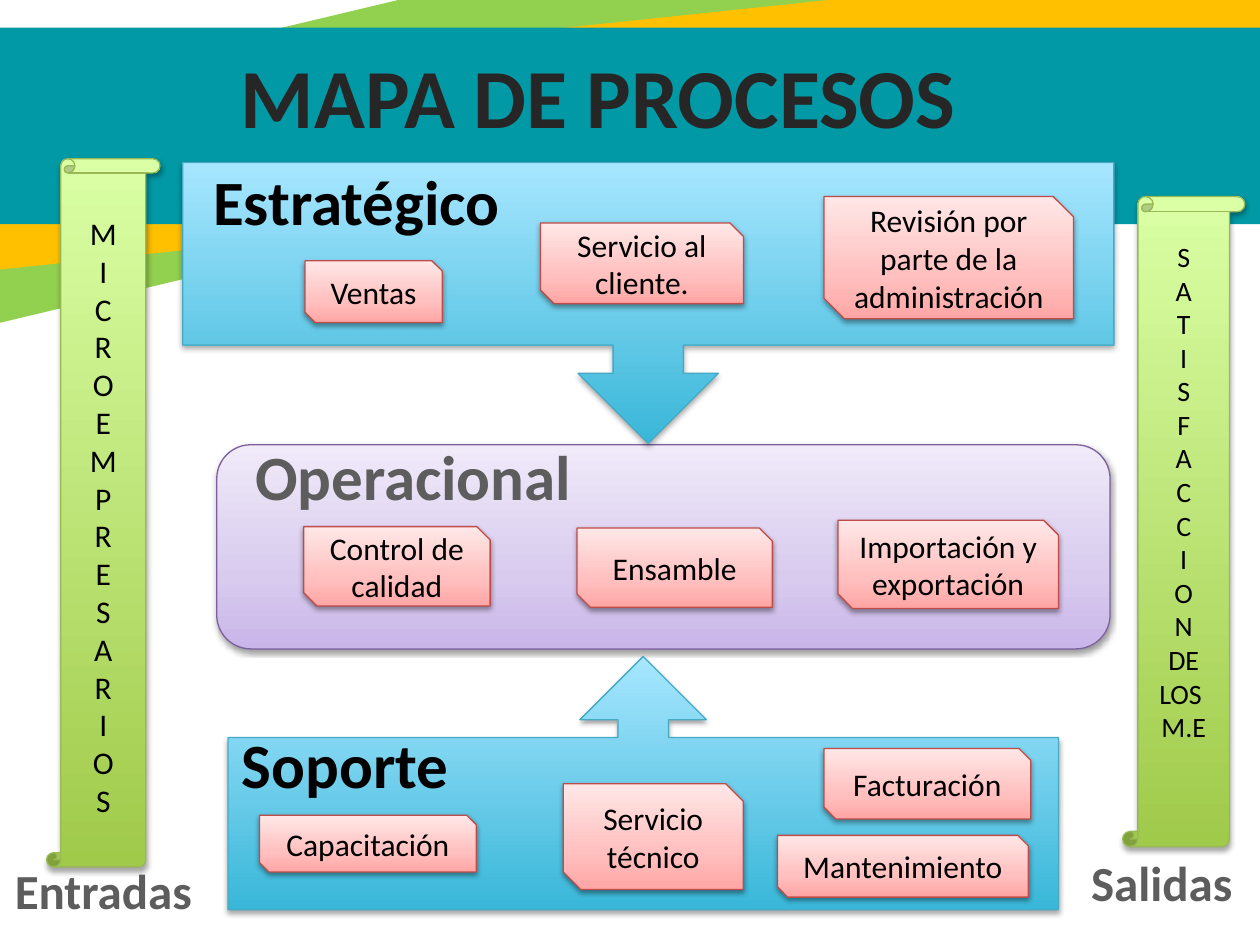
import pptx
import pptx.util
import pptx.dml.color
import pptx.enum.shapes
import pptx.enum.text
import pptx.oxml
import pptx.oxml.ns

Inches = pptx.util.Inches
Pt = pptx.util.Pt
KIND = pptx.enum.shapes.MSO_SHAPE
ALIGN = pptx.enum.text.PP_ALIGN
ANCHOR = pptx.enum.text.MSO_ANCHOR
QN = pptx.oxml.ns.qn
NS = pptx.oxml.ns.nsdecls("a")

BLUE = ([(0, "39B7D8"), (100, "A7E6FF")], "46AAC5", (35, 1.8))
GREEN = ([(0, "A0CA4A"), (100, "DAFFA5")], "98B955", (35, 1.8))
PINK = ([(0, "FFA6A5"), (35, "FFC0BF"), (100, "FFE7E7")], "BF4C48", (38, 1.6))
LILAC = ([(0, "C9B5E8"), (35, "D8CBEE"), (100, "F0EAF9")], "7D60A0", (38, 1.6))
BLACK = "000000"
GREY = "5D5D5D"


def color(code):
    return pptx.dml.color.RGBColor.from_string(code)


def place(box, part):
    x, y, w, h = part
    return [Inches(round(v, 2)) for v in (box[0] + x, box[1] + y, w, h)]


def write(shape, text, size, code, bold=False):
    frame = shape.text_frame
    frame.text = text
    for para in frame.paragraphs:
        para.alignment = ALIGN.CENTER
        for run in para.runs:
            run.font.name = "Calibri"
            run.font.size = Pt(size)
            run.font.bold = bold
            run.font.color.rgb = color(code)
    return frame


def label(slide, box, part, text, size, code):
    shape = slide.shapes.add_textbox(*place(box, part))
    frame = write(shape, text, size, code, True)
    frame.word_wrap = False
    return frame


def panel(slide, box, part, kind, style):
    stops, edge, (alpha, dist) = style
    shape = slide.shapes.add_shape(kind, *place(box, part))
    shape.fill.gradient()
    shape.fill.gradient_angle = 90
    props = shape.fill._xPr
    ramp = props.find(QN("a:gradFill")).find(QN("a:gsLst"))
    for stop in list(ramp):
        ramp.remove(stop)
    for pos, code in stops:
        ramp.append(pptx.oxml.parse_xml(
            f'<a:gs {NS} pos="{pos * 1000}"><a:srgbClr val="{code}"/></a:gs>'))
    shape.line.color.rgb = color(edge)
    shape.line.width = Pt(0.75)
    shape.shadow.inherit = False
    props.find(QN("a:effectLst")).append(pptx.oxml.parse_xml(
        f'<a:outerShdw {NS} blurRad="{Pt(3.1)}" dist="{Pt(dist)}" dir="5400000" rotWithShape="0">'
        f'<a:srgbClr val="000000"><a:alpha val="{alpha * 1000}"/></a:srgbClr></a:outerShdw>'))
    return shape


def header(slide, box):
    bands = [
        ((-2.51, -0.18, 13.06, 1.76), 346.6, "92D050"),
        ((-1.1, 0.2, 11.63, 1.44), 354, "FFC000"),
        ((-1.06, 0.22, 11.63, 1.56), 0, "0099A5"),
    ]
    for part, turn, code in bands:
        band = slide.shapes.add_shape(KIND.RECTANGLE, *place(box, part))
        band.rotation = turn
        band.fill.solid()
        band.fill.fore_color.rgb = color(code)
        band.line.fill.background()
        band.shadow.inherit = False
    frame = label(slide, box, (0.17, 0.26, 9.31, 0.98), "MAPA DE PROCESOS ", 48, "262626")
    frame.vertical_anchor = ANCHOR.MIDDLE


def zone(slide, box, kind, style, title, spot, code, cards, adjust=()):
    base = panel(slide, box, (0, 0, box[2], box[3]), kind, style)
    for index, value in enumerate(adjust):
        base.adjustments[index] = value
    for text, part in cards:
        card = panel(slide, box, part, KIND.SNIP_2_DIAG_RECTANGLE, PINK)
        write(card, text, 18, BLACK).vertical_anchor = ANCHOR.MIDDLE
    label(slide, box, spot, title, 36, code)


def scroll(slide, box, lines, size, foot, title, spot):
    shape = panel(slide, box, (0, 0, box[2], box[3]), KIND.VERTICAL_SCROLL, GREEN)
    frame = write(shape, "\n".join(lines), size, BLACK)
    frame.vertical_anchor = ANCHOR.MIDDLE
    frame.margin_bottom = Inches(foot)
    label(slide, box, spot, title, 28, GREY)


def main():
    deck = pptx.Presentation()
    deck.slide_width = Inches(10)
    deck.slide_height = Inches(7.5)
    slide = deck.slides.add_slide(deck.slide_layouts[6])

    header(slide, (0, 0, 10, 1.78))
    zone(slide, (1.72, 3.53, 7.09, 1.62), KIND.FLOWCHART_ALTERNATE_PROCESS, LILAC,
         "Operacional", (0.19, -0.11, 2.74, 0.71), GREY, [
             ("Control de calidad", (0.69, 0.65, 1.48, 0.63)),
             ("Ensamble", (2.86, 0.66, 1.55, 0.63)),
             ("Importación y exportación", (4.93, 0.6, 1.75, 0.7)),
         ])
    zone(slide, (1.81, 5.21, 6.59, 2.01), KIND.UP_ARROW_CALLOUT, BLUE,
         "Soporte", (0, 0.5, 1.86, 0.71), BLACK, [
             ("Capacitación", (0.25, 1.26, 1.72, 0.45)),
             ("Servicio técnico", (2.66, 1.01, 1.43, 0.84)),
             ("Facturación", (4.73, 0.73, 1.64, 0.56)),
             ("Mantenimiento", (4.36, 1.42, 1.99, 0.49)),
         ], (0.2, 0.25, 0.25, 0.68))
    zone(slide, (1.45, 1.29, 7.39, 2.23), KIND.DOWN_ARROW_CALLOUT, BLUE,
         "Estratégico", (0.13, -0.05, 2.5, 0.71), BLACK, [
             ("Ventas", (0.97, 0.78, 1.09, 0.49)),
             ("Servicio al cliente.", (2.84, 0.48, 1.61, 0.64)),
             ("Revisión por parte de la administración", (5.09, 0.27, 1.98, 0.97)),
         ])
    scroll(slide, (0.37, 1.26, 0.9, 5.62), list("MICROEMPRESARIOS"), 18, 0.05,
           "Entradas", (-0.36, 5.52, 1.62, 0.57))
    scroll(slide, (8.91, 1.56, 0.97, 5.16), [*"SATISFACCION", "DE", "LOS ", "M.E"], 16, 0.59,
           "Salidas", (-0.36, 5.16, 1.34, 0.57))
    deck.save("out.pptx")


if __name__ == "__main__":
    main()
